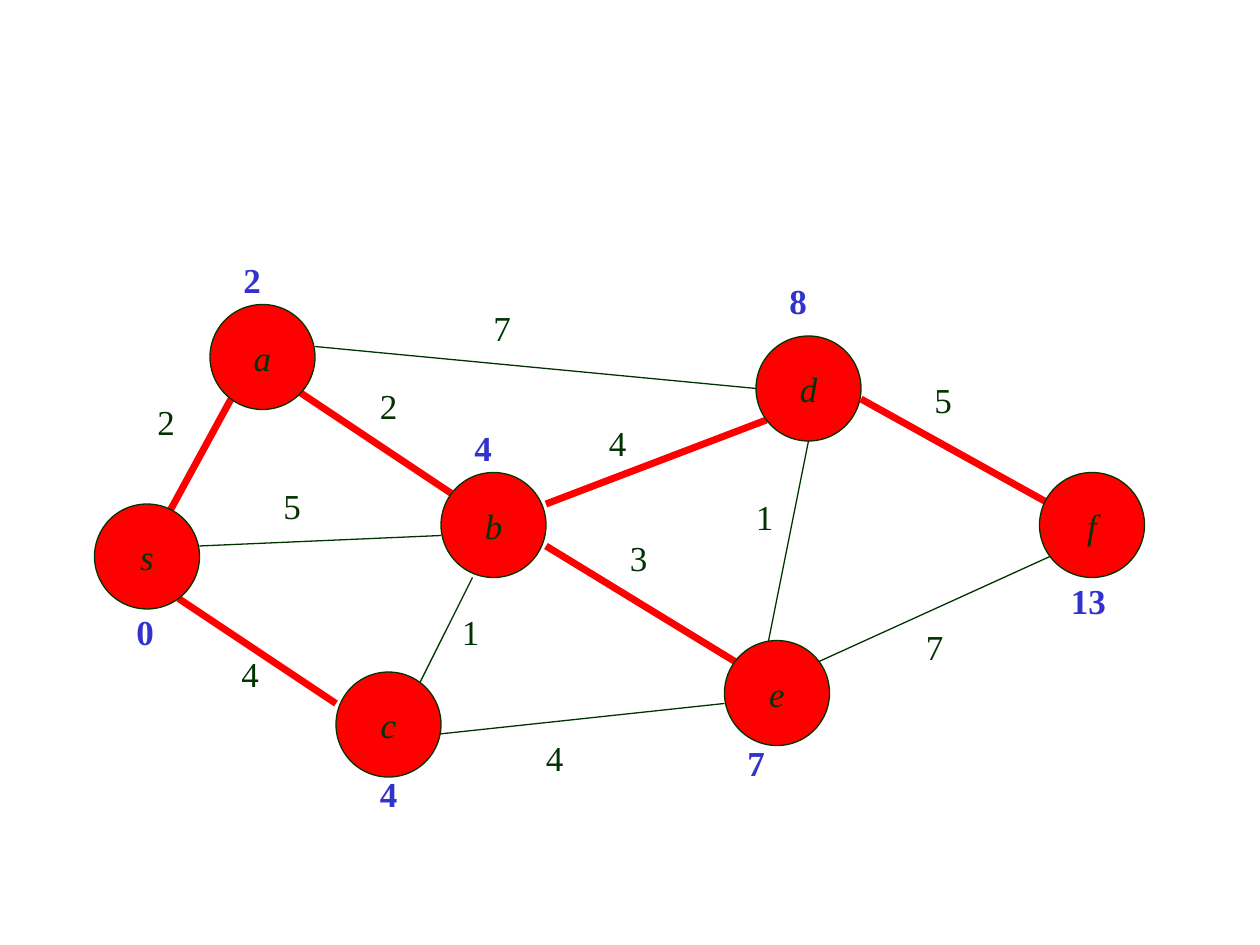
import pptx
import pptx.dml.color
import pptx.enum.shapes
import pptx.enum.text
import pptx.oxml.ns
import pptx.util
import lxml.etree

theme = {
    "font": "Times New Roman", "size": 20,
    "ink": "003300", "node": "FF0000", "cost": "3333CC",
    "thin": 0.75, "thick": 4,
}
unit = pptx.util.Cm(2.54) / 12  # the drawing sits on a grid of twelfths of an inch


def grid(*steps):
    return [round(step * unit) for step in steps]


def write(shape, text, color="ink", bold=False, italic=False,
          align=pptx.enum.text.PP_ALIGN.LEFT,
          anchor=pptx.enum.text.MSO_ANCHOR.TOP):
    frame = shape.text_frame
    frame.word_wrap = False
    frame.vertical_anchor = anchor
    line = frame.paragraphs[0]
    line.alignment = align
    run = line.add_run()
    run.text = text
    run.font.name = theme["font"]
    run.font.size = pptx.util.Pt(theme["size"])
    run.font.bold = bold
    run.font.italic = italic
    run.font.color.rgb = pptx.dml.color.RGBColor.from_string(theme[color])


deck = pptx.Presentation()
deck.slide_width = pptx.util.Cm(25.4)
deck.slide_height = pptx.util.Cm(19.05)
slide = deck.slides.add_slide(deck.slide_layouts[6])
shapes = slide.shapes

# Edges: start, end, on the shortest path tree
edges = [
    (30, 33, 72, 37, False),
    (28, 37, 43, 47, True),
    (22, 38, 16, 49, True),
    (17, 57, 32, 67, True),
    (19, 52, 42, 51, False),
    (40, 65, 45, 55, False),
    (52, 52, 70, 63, True),
    (41, 70, 69, 67, False),
    (77, 42, 73, 62, False),
    (52, 48, 73, 40, True),
    (78, 63, 100, 53, False),
    (82, 38, 100, 48, True),
]
for *ends, tree in edges:
    edge = shapes.add_connector(
        pptx.enum.shapes.MSO_CONNECTOR.STRAIGHT, *grid(*ends))
    color = theme["node" if tree else "ink"]
    edge.line.color.rgb = pptx.dml.color.RGBColor.from_string(color)
    edge.line.width = pptx.util.Pt(theme["thick" if tree else "thin"])
    lxml.etree.SubElement(edge._element.spPr, pptx.oxml.ns.qn("a:effectLst"))

# Nodes: name, left, top
nodes = [
    ("a", 20, 29), ("f", 99, 45), ("b", 42, 45), ("d", 72, 32),
    ("s", 9, 48), ("c", 32, 64), ("e", 69, 61),
]
for name, left, top in nodes:
    node = shapes.add_shape(
        pptx.enum.shapes.MSO_SHAPE.OVAL, *grid(left, top, 10, 10))
    node.shadow.inherit = False
    node.fill.solid()
    node.fill.fore_color.rgb = pptx.dml.color.RGBColor.from_string(theme["node"])
    node.line.color.rgb = pptx.dml.color.RGBColor.from_string(theme["ink"])
    node.line.width = pptx.util.Pt(theme["thin"])
    write(node, name, italic=True, align=pptx.enum.text.PP_ALIGN.CENTER,
          anchor=pptx.enum.text.MSO_ANCHOR.MIDDLE)

# Edge weights and node costs: text, left, top
weights = [
    ("2", 13.8, 37.6), ("7", 45.8, 28.6), ("5", 25.8, 45.6),
    ("4", 21.8, 61.6), ("1", 42.8, 57.6), ("4", 50.8, 69.6),
    ("3", 58.8, 50.5), ("4", 56.8, 39.6), ("1", 70.8, 46.6),
    ("5", 87.8, 35.5), ("7", 87, 59), ("2", 35, 36),
]
costs = [
    ("0", 11.8, 57.6), ("2", 22, 24), ("4", 44, 40), ("4", 35, 73),
    ("8", 74, 26), ("7", 70, 70), ("13", 100.8, 54.6),
]
for labels, color, bold in [(weights, "ink", False), (costs, "cost", True)]:
    for text, left, top in labels:
        width = 2.4 + 2 * len(text)
        label = shapes.add_textbox(*grid(left, top, width, 6))
        label.text_frame.auto_size = pptx.enum.text.MSO_AUTO_SIZE.SHAPE_TO_FIT_TEXT
        write(label, text, color=color, bold=bold)

deck.save("out.pptx")
